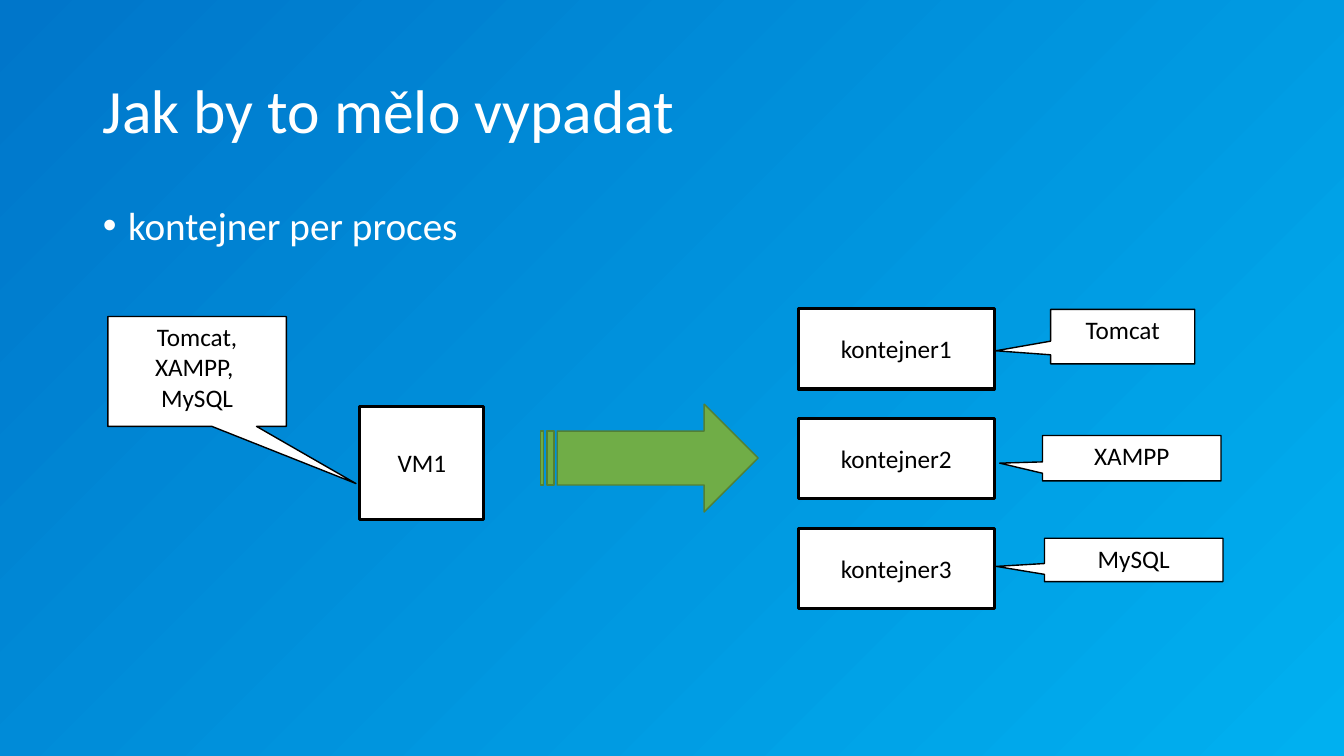
import pptx
import pptx.dml.color
import pptx.enum.shapes
import pptx.enum.text
import pptx.oxml
import pptx.oxml.ns
import pptx.util

Inches = pptx.util.Inches
Pt = pptx.util.Pt
RGBColor = pptx.dml.color.RGBColor
SHAPE = pptx.enum.shapes.MSO_SHAPE
ALIGN = pptx.enum.text.PP_ALIGN
ANCHOR = pptx.enum.text.MSO_ANCHOR

WHITE = RGBColor(0xFF, 0xFF, 0xFF)
BLACK = RGBColor(0x00, 0x00, 0x00)
GREEN = RGBColor(0x70, 0xAD, 0x47)
MOSS = RGBColor(0x53, 0x80, 0x35)
SKY = RGBColor(0x00, 0xB0, 0xF0)
BLUE = RGBColor(0x00, 0x76, 0xCA)
PALE = RGBColor(0xAF, 0xEA, 0xFF)
STOPS = [(0, SKY), (100000, BLUE), (100000, PALE)]
FONT = "Calibri"


def paint_back(slide):
    fill = slide.background.fill
    fill.gradient()
    stops = "".join(
        f'<a:gs pos="{pos}"><a:srgbClr val="{color}"/></a:gs>' for pos, color in STOPS
    )
    grad = pptx.oxml.parse_xml(
        f'<a:gradFill {pptx.oxml.ns.nsdecls("a")} rotWithShape="1">'
        f'<a:gsLst>{stops}</a:gsLst><a:path path="circle">'
        '<a:fillToRect l="100000" t="100000"/></a:path>'
        '<a:tileRect r="-100000" b="-100000"/></a:gradFill>'
    )
    old = slide.element.xpath(".//p:bgPr/a:gradFill")[0]
    old.getparent().replace(old, grad)


def style(frame, size, color, align):
    for para in frame.paragraphs:
        para.alignment = align
        for run in para.runs:
            run.font.name = FONT
            run.font.size = Pt(size)
            run.font.color.rgb = color


def place(shape, left, top, width, height):
    shape.left, shape.top = Inches(left), Inches(top)
    shape.width, shape.height = Inches(width), Inches(height)


def fill_holder(holder, text, size, area, anchor):
    place(holder, *area)
    frame = holder.text_frame
    frame.text = text
    frame.vertical_anchor = anchor
    frame.paragraphs[0].line_spacing = 0.9
    style(frame, size, WHITE, ALIGN.LEFT)
    return frame.paragraphs[0]


def add_bullet(para):
    para.space_before = Pt(10)
    props = para._p.get_or_add_pPr()
    props.set("marL", str(Inches(0.25)))
    props.set("indent", str(Inches(-0.25)))
    space = pptx.oxml.ns.nsdecls("a")
    props.append(pptx.oxml.parse_xml(f'<a:buFont {space} typeface="Arial"/>'))
    props.append(pptx.oxml.parse_xml(f'<a:buChar {space} char="•"/>'))


def add_form(slide, kind, area, fill, line, weight):
    form = slide.shapes.add_shape(kind, *map(Inches, area))
    form.shadow.inherit = False
    form.fill.solid()
    form.fill.fore_color.rgb = fill
    form.line.color.rgb = line
    form.line.width = Pt(weight)
    return form


def add_label(form, text, anchor):
    frame = form.text_frame
    frame.text = text
    frame.word_wrap = True
    frame.vertical_anchor = anchor
    style(frame, 18, BLACK, ALIGN.CENTER)


def add_box(slide, text, area):
    box = add_form(slide, SHAPE.RECTANGLE, area, WHITE, BLACK, 2.25)
    add_label(box, text, ANCHOR.MIDDLE)


def add_note(slide, text, area, tip):
    note = add_form(slide, SHAPE.RECTANGULAR_CALLOUT, area, WHITE, BLACK, 1)
    for i, value in enumerate(tip):
        note.adjustments[i] = value
    add_label(note, text, ANCHOR.TOP)


def main():
    deck = pptx.Presentation()
    deck.slide_width, deck.slide_height = Inches(13.33), Inches(7.5)
    slide = deck.slides.add_slide(deck.slide_layouts[1])
    paint_back(slide)

    title, body = slide.placeholders
    fill_holder(title, "Jak by to mělo vypadat", 44, (0.92, 0.4, 11.5, 1.45), ANCHOR.MIDDLE)
    add_bullet(
        fill_holder(body, "kontejner per proces", 28, (0.92, 2, 11.5, 4.76), ANCHOR.TOP)
    )

    add_box(slide, "VM1", (3.57, 4.03, 1.23, 1.12))
    add_note(slide, "Tomcat, XAMPP, \nMySQL", (1.07, 3.14, 1.77, 1.09), (0.89, 1.02))

    notes = [
        ("Tomcat", (10.42, 3.07, 1.43, 0.54), (-0.88, 0.26)),
        ("XAMPP", (10.34, 4.32, 1.77, 0.45), (-0.74, 0.11)),
        ("MySQL", (10.36, 5.34, 1.77, 0.43), (-0.77, 0.15)),
    ]
    for i, (text, area, tip) in enumerate(notes):
        add_box(slide, f"kontejner{i + 1}", (7.92, 3.06 + i * 1.09, 1.94, 0.8))
        add_note(slide, text, area, tip)

    add_form(slide, SHAPE.STRIPED_RIGHT_ARROW, (5.36, 4.01, 2.16, 1.07), GREEN, MOSS, 1)
    deck.save("out.pptx")


if __name__ == "__main__":
    main()
